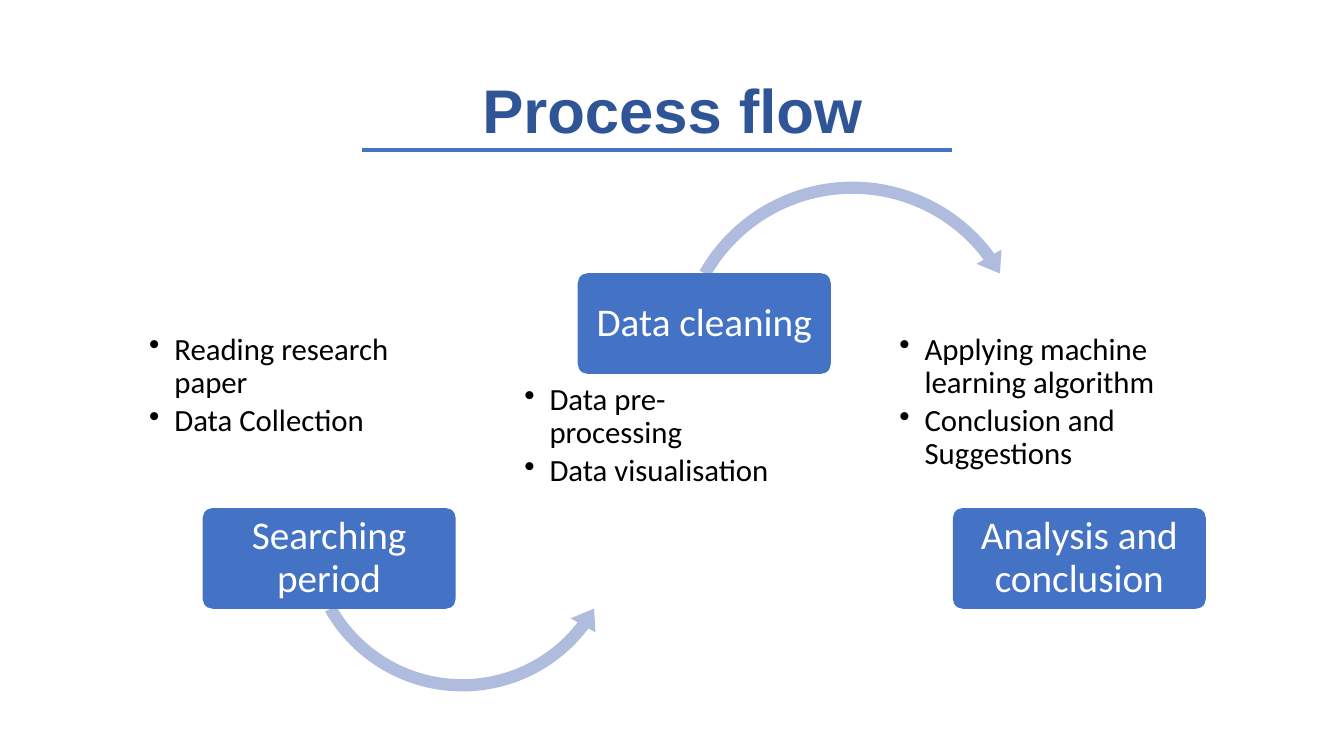
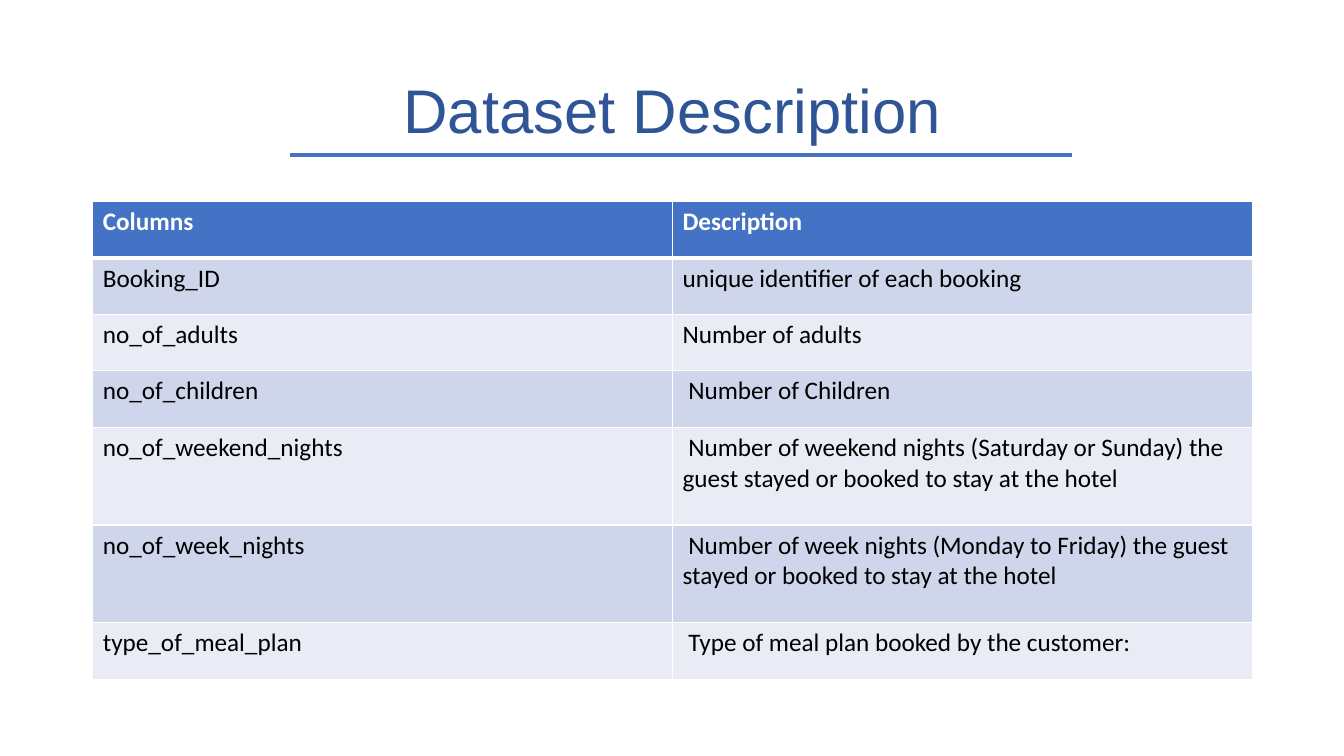
from pptx import Presentation
from pptx.dml.color import RGBColor
from pptx.enum import shapes, text
from pptx.oxml import parse_xml
from pptx.oxml import ns
from pptx.util import Inches, Pt

BLUE, NAVY, PALE = "4472C4", "2F5597", "B0BCDE"
WHITE, BLACK = "FFFFFF", "000000"
BANDS = ["E9EBF5", "CFD5EA"]
KIND = shapes.MSO_SHAPE
MID = text.MSO_ANCHOR.MIDDLE

deck = Presentation()
deck.slide_width, deck.slide_height = Inches(13.33), Inches(7.5)


def style(frame, size, color, font="Calibri", bold=False, align=None, gap=None):
    """Format every paragraph and run; gap also sets tight line spacing."""
    frame.word_wrap = True
    for par in frame.paragraphs:
        par.alignment = align
        if gap is not None:
            par.line_spacing, par.space_after = 0.9, Pt(gap)
        for run in par.runs:
            run.font.name, run.font.size, run.font.bold = font, Pt(size), bold
            run.font.color.rgb = RGBColor.from_string(color)


def solid(shape, color):
    shape.shadow.inherit = False
    shape.fill.solid()
    shape.fill.fore_color.rgb = RGBColor.from_string(color)
    shape.line.fill.background()


# Titles with their rules
heads = [
    ("Process flow", True, 3.59, 9.44, 1.49),
    ("Dataset Description", False, 2.88, 10.63, 1.54),
]
slides = []
for title, bold, left, right, y in heads:
    slide = deck.slides.add_slide(deck.slide_layouts[6])
    slides.append(slide)
    box = slide.shapes.add_textbox(Inches(0.92), Inches(0.4), Inches(11.5), Inches(1.45))
    box.text_frame.text = title
    box.text_frame.vertical_anchor = MID
    style(box.text_frame, 44, NAVY, "Arial", bold, text.PP_ALIGN.CENTER, 0)
    rule = slide.shapes.add_connector(
        shapes.MSO_CONNECTOR.STRAIGHT, Inches(left), Inches(y), Inches(right), Inches(y))
    rule.line.color.rgb = RGBColor.from_string(BLUE)
    rule.line.width = Pt(3)
    rule._element.spPr.append(parse_xml(f"<a:effectLst {ns.nsdecls('a')}/>"))

flow, data = slides

# Curved arrows between the steps
arrows = [
    (KIND.LEFT_CIRCULAR_ARROW, 2.94, 3.65, 3.29, [0.037, 4.574, 22.329, 90.245, 0.043]),
    (KIND.CIRCULAR_ARROW, 6.63, 1.72, 3.65, [0.033, 4.086, 194.159, 125.755, 0.039]),
]
for kind, x, y, side, bends in arrows:
    arrow = flow.shapes.add_shape(kind, Inches(x), Inches(y), Inches(side), Inches(side))
    for i, bend in enumerate(bends):
        arrow.adjustments[i] = bend
    solid(arrow, PALE)

# Steps: name box and bullet list, evenly spaced
steps = [
    ("Searching period", 5.04, 3.26, ["Reading research paper", "Data Collection"]),
    ("Data cleaning", 2.71, 3.76, ["Data pre-processing", "Data visualisation"]),
    ("Analysis and conclusion", 5.04, 3.26,
     ["Applying machine learning algorithm", "Conclusion and Suggestions"]),
]
for i, (name, top, low, points) in enumerate(steps):
    x = 1.43 + i * 3.72
    notes = flow.shapes.add_textbox(Inches(x), Inches(low), Inches(2.72), Inches(1.72))
    frame = notes.text_frame
    frame.text = "\n".join(points)
    frame.margin_left = frame.margin_right = Inches(0.05)
    frame.margin_top = frame.margin_bottom = Inches(0.05)
    style(frame, 22, BLACK, gap=3.5)
    for par in frame.paragraphs:
        props = par._p.get_or_add_pPr()
        props.set("marL", str(Inches(0.25)))
        props.set("indent", str(Inches(-0.25)))
        props.append(parse_xml(f'<a:buChar {ns.nsdecls("a")} char="•"/>'))

    card = flow.shapes.add_shape(
        KIND.ROUNDED_RECTANGLE, Inches(x + 0.58), Inches(top), Inches(2.51), Inches(1))
    card.adjustments[0] = 0.1
    solid(card, BLUE)
    frame = card.text_frame
    frame.text = name
    frame.vertical_anchor = MID
    frame.margin_left = frame.margin_right = Inches(0.09)
    frame.margin_top = frame.margin_bottom = Inches(0.07)
    style(frame, 28, WHITE, align=text.PP_ALIGN.CENTER, gap=0)

# Dataset table
rows = [
    ("Columns", "Description", 0.56),
    ("Booking_ID", "unique identifier of each booking", 0.56),
    ("no_of_adults", "Number of adults", 0.56),
    ("no_of_children", " Number of Children", 0.56),
    ("no_of_weekend_nights", " Number of weekend nights (Saturday or Sunday) the "
     "guest stayed or booked to stay at the hotel", 0.97),
    ("no_of_week_nights", " Number of week nights (Monday to Friday) the guest "
     "stayed or booked to stay at the hotel", 0.97),
    ("type_of_meal_plan", " Type of meal plan booked by the customer:", 0.56),
]
table = data.shapes.add_table(
    len(rows), 2, Inches(0.92), Inches(2), Inches(11.5), Inches(4.77)).table
for r, (*words, high) in enumerate(rows):
    table.rows[r].height = Inches(high)
    head = r == 0
    for c, word in enumerate(words):
        cell = table.cell(r, c)
        cell.text_frame.text = word
        style(cell.text_frame, 18, WHITE if head else BLACK, bold=head)
        cell.fill.solid()
        cell.fill.fore_color.rgb = RGBColor.from_string(BLUE if head else BANDS[r % 2])
        # White borders, thicker under the header
        props = cell._tc.get_or_add_tcPr()
        for k, edge in enumerate("LRTB"):
            thick = (r, edge) in [(0, "B"), (1, "T")]
            props.insert(k, parse_xml(
                f'<a:ln{edge} {ns.nsdecls("a")} w="{Pt(3 if thick else 1)}"><a:solidFill>'
                f'<a:srgbClr val="{WHITE}"/></a:solidFill></a:ln{edge}>'))

deck.save("out.pptx")
